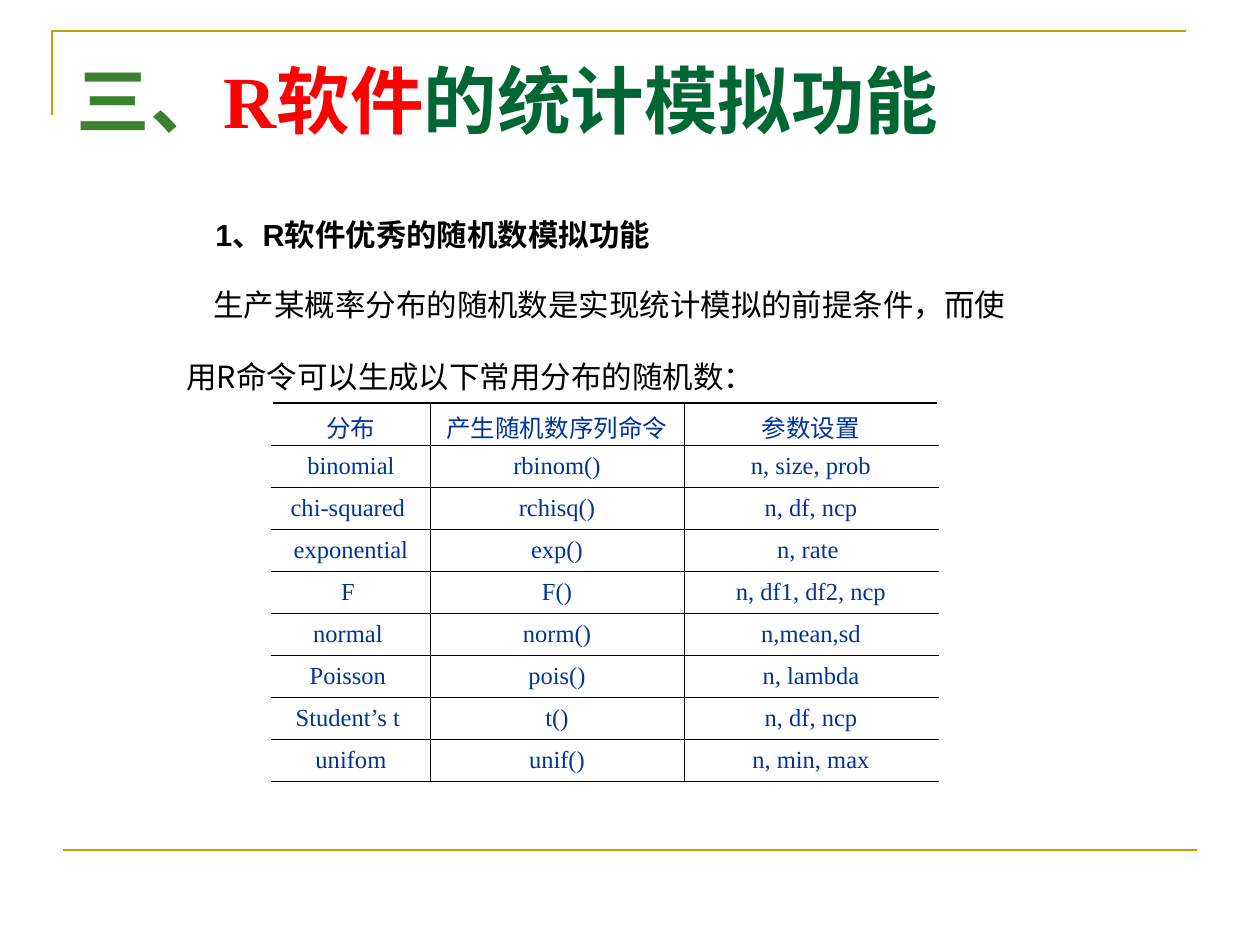
from lxml import etree
from pptx import Presentation
from pptx import util as u
from pptx.dml.color import RGBColor
from pptx.enum import shapes, text
from pptx.oxml import ns

SCALE = 914400 / 126
COLORS = {
    "gold": "CC9900",
    "leaf": "3B812F",
    "red": "FF0000",
    "green": "006633",
    "black": "000000",
    "blue": "003399",
}
SERIF, SANS, CHINESE = "Times New Roman", "Arial", "Noto Sans CJK SC"
THIN, THICK = 0.45, 0.96
COLUMNS = [158, 254, 254]
ROW_HEIGHT = 42
ROWS = [
    ("分布", "产生随机数序列命令", "参数设置"),
    ("binomial", "rbinom()", "n, size, prob"),
    ("chi-squared ", "rchisq()", "n, df, ncp"),
    ("exponential", "exp()", "n, rate "),
    ("F ", "F()", "n, df1, df2, ncp"),
    ("normal ", "norm()", "n,mean,sd"),
    ("Poisson ", "pois()", "n, lambda"),
    ("Student’s t ", "t()", "n, df, ncp"),
    ("unifom", "unif()", "n, min, max"),
]


def px(length):
    return u.Emu(round(length * SCALE))


def color(name):
    return RGBColor.from_string(COLORS[name])


def add_span(para, content, size=14, font=SERIF, fill="black", bold=False, baseline=None):
    span = para.add_run()
    span.text = content
    span.font.size = u.Pt(size)
    span.font.name = font
    span.font.bold = bold
    span.font.color.rgb = color(fill)
    properties = span.font._element
    etree.SubElement(properties, ns.qn("a:ea")).set("typeface", CHINESE)
    if baseline is not None:
        properties.set("baseline", str(baseline * 1000))


def indent(para, margin, first):
    properties = para._p.get_or_add_pPr()
    properties.set("marL", str(px(margin)))
    properties.set("indent", str(px(first)))


def style_line(shape):
    shape.line.color.rgb = color("gold")
    shape.line.width = u.Pt(1.5)


def add_frame(page):
    builder = page.shapes.build_freeform(52, 115, scale=SCALE)
    builder.add_line_segments([(52, 31), (1186, 31)], close=False)
    corner = builder.convert_to_shape()
    corner.fill.background()
    corner.shadow.inherit = False
    style_line(corner)
    rule = page.shapes.add_connector(
        shapes.MSO_CONNECTOR.STRAIGHT, px(63), px(850), px(1197), px(850)
    )
    style_line(rule)
    etree.SubElement(rule._element.spPr, ns.qn("a:effectLst"))


def add_title(page, spans):
    title = page.shapes.title
    title.left, title.top, title.width, title.height = map(px, (64, 49, 944, 136))
    frame = title.text_frame
    frame.auto_size = text.MSO_AUTO_SIZE.NONE
    frame.vertical_anchor = text.MSO_ANCHOR.TOP
    para = frame.paragraphs[0]
    para.alignment = text.PP_ALIGN.LEFT
    for content, fill in spans:
        add_span(para, content, size=42, fill=fill, bold=True)


def add_text(page, content, left, top, width, height, margin=0, first=0, **style):
    box = page.shapes.add_textbox(*map(px, (left, top, width, height)))
    box.text_frame.word_wrap = True
    para = box.text_frame.paragraphs[0]
    indent(para, margin, first)
    add_span(para, content, **style)


def add_border(cell, side, width):
    properties = cell._tc.get_or_add_tcPr()
    line = etree.SubElement(properties, ns.qn(f"a:ln{side}"), w=str(u.Pt(width)))
    fill = etree.SubElement(line, ns.qn("a:solidFill"))
    etree.SubElement(fill, ns.qn("a:srgbClr"), val=COLORS["black"])


def format_cell(cell, content, row, column):
    last_row, last_column = len(ROWS) - 1, len(COLUMNS) - 1
    if column > 0:
        add_border(cell, "L", THIN)
    if column < last_column:
        add_border(cell, "R", THIN)
    add_border(cell, "T", THICK if row == 0 else THIN)
    add_border(cell, "B", THICK if row == last_row else THIN)
    cell.fill.background()
    cell.vertical_anchor = text.MSO_ANCHOR.MIDDLE
    para = cell.text_frame.paragraphs[0]
    para.alignment = text.PP_ALIGN.CENTER
    indent(para, 48, -48)
    add_span(para, content, fill="blue")


def add_distribution_table(page):
    table = page.shapes.add_table(
        len(ROWS), len(COLUMNS), px(272), px(403), px(sum(COLUMNS)), px(ROW_HEIGHT * len(ROWS))
    ).table
    table.first_row = table.horz_banding = False
    for column, width in zip(table.columns, COLUMNS):
        column.width = px(width)
    for row, values in enumerate(ROWS):
        table.rows[row].height = px(ROW_HEIGHT)
        for column, content in enumerate(values):
            format_cell(table.cell(row, column), content, row, column)


def main():
    deck = Presentation()
    deck.slide_width, deck.slide_height = px(1260), px(945)
    page = deck.slides.add_slide(deck.slide_layouts[5])
    add_frame(page)
    add_title(page, [("三、", "leaf"), ("R软件", "red"), ("的统计模拟功能", "green")])
    add_text(page, "1、R软件优秀的随机数模拟功能", 203, 175, 804, 162,
             margin=48, first=-48, size=30, font=SANS, bold=True, baseline=-25)
    add_distribution_table(page)
    add_text(page, "生产某概率分布的随机数是实现统计模拟的前提条件，而使用R命令可以生成以下常用分布的随机数：",
             174, 245, 873, 156, first=27, size=30, font=CHINESE, baseline=-25)
    deck.save("out.pptx")


if __name__ == "__main__":
    main()
